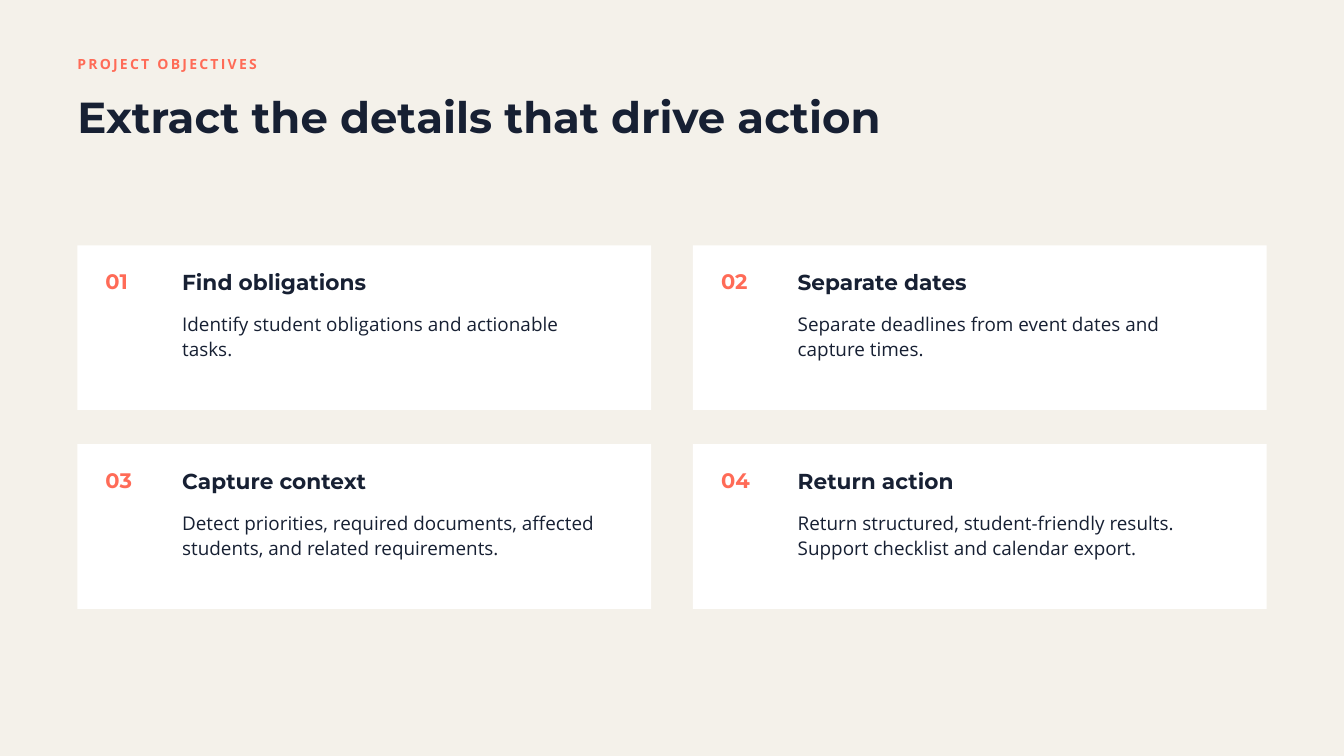
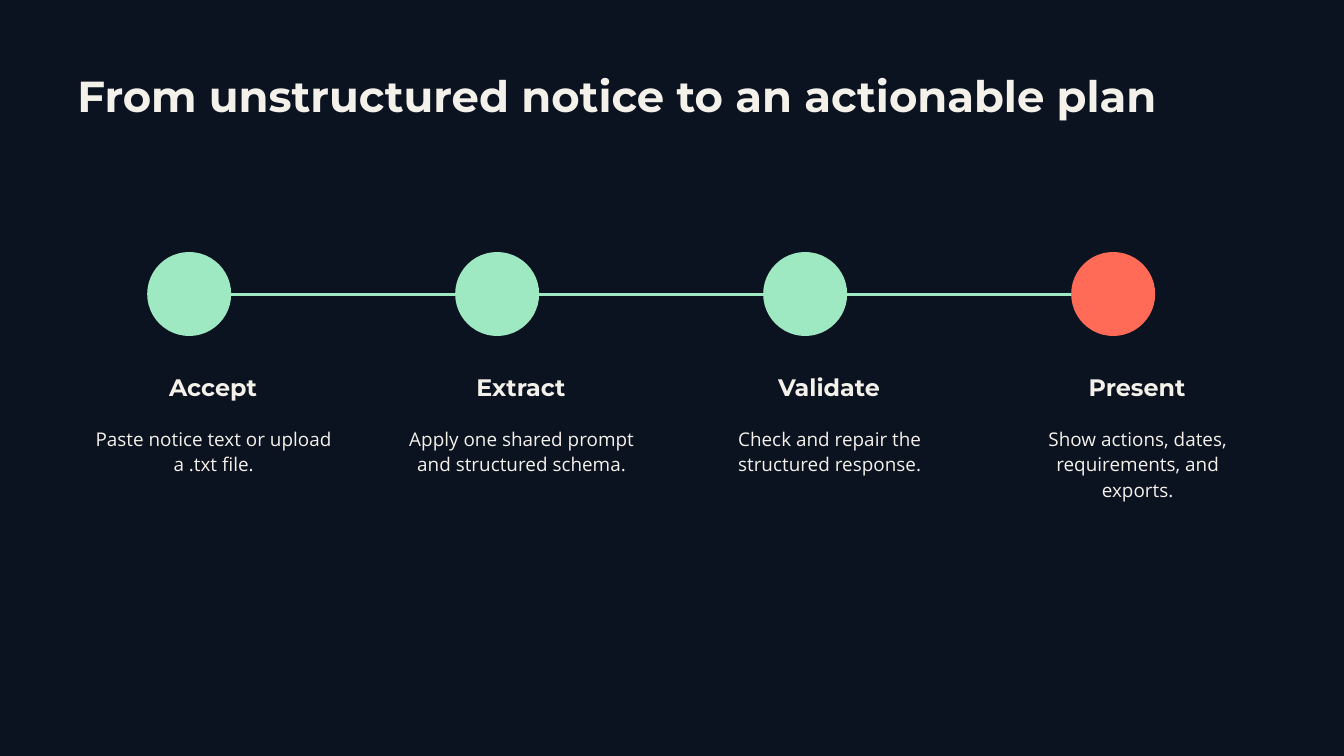
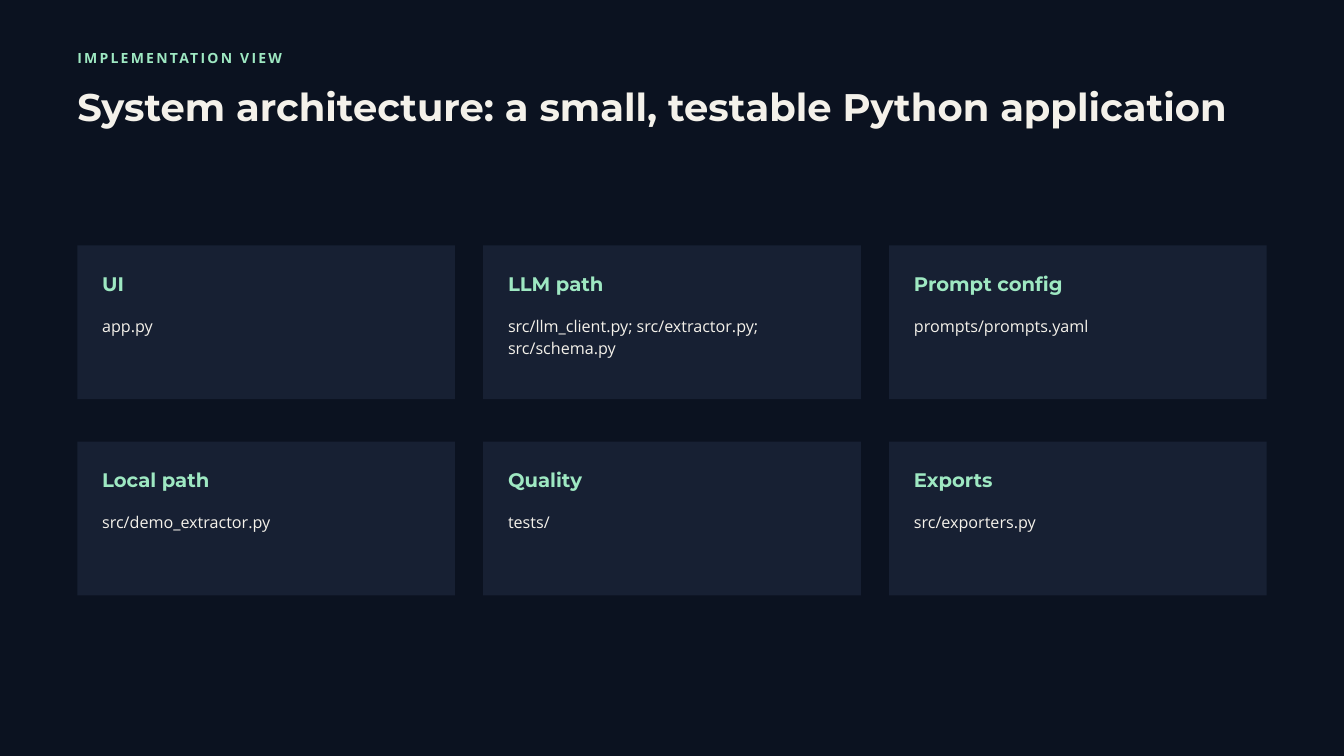
from dataclasses import dataclass

from lxml.etree import SubElement
from pptx import Presentation
from pptx.dml.color import RGBColor
from pptx.enum.shapes import MSO_CONNECTOR as Connector, MSO_SHAPE as Shape
from pptx.enum.text import MSO_ANCHOR as Anchor, MSO_AUTO_SIZE as AutoSize, PP_ALIGN as Align
from pptx.oxml.ns import qn
from pptx.util import Inches, Pt


@dataclass(frozen=True)
class Style:
    font: str
    size: float
    leading: float
    bold: bool = False
    tracking: float = 0


@dataclass(frozen=True)
class Theme:
    paper: str = "F4F1EA"
    night: str = "0B1220"
    navy: str = "172033"
    white: str = "FFFFFF"
    coral: str = "FF6B57"
    mint: str = "9EE8C2"
    eyebrow: Style = Style("Open Sans", 15, 1.4, True, 2.4)
    title: Style = Style("Montserrat", 46.5, 1.08, True)
    long_title: Style = Style("Montserrat", 41.25, 1.08, True)
    number: Style = Style("Montserrat", 22.5, 1.4, True)
    objective: Style = Style("Montserrat", 23.25, 1.4, True)
    step: Style = Style("Montserrat", 25.5, 1.4, True)
    module: Style = Style("Montserrat", 21, 1.4, True)
    body: Style = Style("Open Sans", 20.25, 1.35)
    small: Style = Style("Open Sans", 17.25, 1.35)


THEME = Theme()
MARGIN = 1.15
GRID_TOP = 3.65

OBJECTIVES = [
    ("Find obligations", "Identify student obligations and actionable tasks."),
    ("Separate dates", "Separate deadlines from event dates and capture times."),
    ("Capture context",
     "Detect priorities, required documents, affected students, and related requirements."),
    ("Return action",
     "Return structured, student-friendly results. Support checklist and calendar export."),
]
STEPS = [
    ("Accept", "Paste notice text or upload a .txt file."),
    ("Extract", "Apply one shared prompt and structured schema."),
    ("Validate", "Check and repair the structured response."),
    ("Present", "Show actions, dates, requirements, and exports."),
]
MODULES = [
    ("UI", "app.py"),
    ("LLM path", "src/llm_client.py; src/extractor.py; src/schema.py"),
    ("Prompt config", "prompts/prompts.yaml"),
    ("Local path", "src/demo_extractor.py"),
    ("Quality", "tests/"),
    ("Exports", "src/exporters.py"),
]


def rgb(color):
    return RGBColor.from_string(color)


def write(tf, text, *, style, color, align=Align.LEFT):
    tf.word_wrap = True
    tf.auto_size = AutoSize.NONE
    tf.vertical_anchor = Anchor.TOP
    tf.margin_left = tf.margin_right = tf.margin_top = tf.margin_bottom = 0
    p = tf.paragraphs[0]
    p.alignment = align
    p.line_spacing = Pt(round(style.size * style.leading, 2))
    r = p.add_run()
    r.text = text
    r.font.name = style.font
    r.font.size = Pt(style.size)
    r.font.bold = style.bold
    r.font.color.rgb = rgb(color)
    if style.tracking:
        r._r.get_or_add_rPr().set("spc", str(round(style.tracking * 100)))


def add_text(shapes, text, x, y, w, h, **fmt):
    sp = shapes.add_textbox(Inches(x), Inches(y), Inches(w), Inches(h))
    write(sp.text_frame, text, **fmt)


def add_block(shapes, kind, x, y, w, h, color):
    sp = shapes.add_shape(kind, Inches(x), Inches(y), Inches(w), Inches(h))
    sp.shadow.inherit = False
    sp.fill.solid()
    sp.fill.fore_color.rgb = rgb(color)
    sp.line.fill.background()


def add_line(shapes, x1, y1, x2, y2, color, width):
    line = shapes.add_connector(Connector.STRAIGHT, Inches(x1), Inches(y1), Inches(x2), Inches(y2))
    line.line.color.rgb = rgb(color)
    line.line.width = Pt(width)
    SubElement(line._element.spPr, qn("a:effectLst"))


def add_slide(prs, background, title, y, w, *, style, color):
    s = prs.slides.add_slide(prs.slide_layouts[5])
    s.background.fill.solid()
    s.background.fill.fore_color.rgb = rgb(background)
    sp = s.shapes.title
    sp.left, sp.top, sp.width, sp.height = Inches(MARGIN), Inches(y), Inches(w), Inches(0.7)
    write(sp.text_frame, title, style=style, color=color)
    return s


def grid(items, cols, pitch_x, pitch_y):
    for i, item in enumerate(items):
        row, col = divmod(i, cols)
        yield MARGIN + col * pitch_x, GRID_TOP + row * pitch_y, item


def add_objective(s, x, y, number, heading, detail):
    shapes = s.shapes.add_group_shape().shapes
    add_block(shapes, Shape.RECTANGLE, x, y, 8.54, 2.45, THEME.white)
    add_text(shapes, number, x + 0.42, y + 0.29, 1.04, 0.41,
             style=THEME.number, color=THEME.coral)
    add_text(shapes, heading, x + 1.56, y + 0.29, 6.15, 0.42,
             style=THEME.objective, color=THEME.navy)
    add_text(shapes, detail, x + 1.56, y + 0.96, 6.15, 0.74,
             style=THEME.body, color=THEME.navy)


def add_step(s, x, heading, detail, color):
    shapes = s.shapes.add_group_shape().shapes
    add_block(shapes, Shape.OVAL, x + 0.78, 3.75, 1.25, 1.25, color)
    add_text(shapes, heading, x + 0.2, 5.48, 3.12, 0.46,
             style=THEME.step, color=THEME.paper, align=Align.CENTER)
    add_text(shapes, detail, x, 6.32, 3.54, 1.11,
             style=THEME.body, color=THEME.paper, align=Align.CENTER)


def add_module(s, x, y, heading, files):
    shapes = s.shapes.add_group_shape().shapes
    add_block(shapes, Shape.RECTANGLE, x, y, 5.62, 2.29, THEME.navy)
    add_text(shapes, heading, x + 0.37, y + 0.34, 5.21, 0.38,
             style=THEME.module, color=THEME.mint)
    add_text(shapes, files, x + 0.37, y + 1.02, 5.21, 0.63,
             style=THEME.small, color=THEME.paper)


def objectives_slide(prs):
    s = add_slide(prs, THEME.paper, "Extract the details that drive action", 1.42, 15.62,
                  style=THEME.title, color=THEME.navy)
    add_text(s.shapes, "PROJECT OBJECTIVES", MARGIN, 0.78, 5.21, 0.28,
             style=THEME.eyebrow, color=THEME.coral)
    for i, (x, y, objective) in enumerate(grid(OBJECTIVES, 2, 9.16, 2.96), 1):
        add_objective(s, x, y, f"{i:02}", *objective)


def process_slide(prs):
    s = add_slide(prs, THEME.night, "From unstructured notice to an actionable plan", 1.1, 17.19,
                  style=THEME.title, color=THEME.paper)
    add_line(s.shapes, 2.81, 4.38, 17.19, 4.38, THEME.mint, 3.75)
    pitch = 13.75 / (len(STEPS) - 1)
    for i, step in enumerate(STEPS):
        color = THEME.coral if step is STEPS[-1] else THEME.mint
        add_step(s, 1.41 + i * pitch, *step, color)


def architecture_slide(prs):
    s = add_slide(prs, THEME.night, "System architecture: a small, testable Python application",
                  1.3, 17.19, style=THEME.long_title, color=THEME.paper)
    add_text(s.shapes, "IMPLEMENTATION VIEW", MARGIN, 0.7, 6.25, 0.28,
             style=THEME.eyebrow, color=THEME.mint)
    for x, y, module in grid(MODULES, 3, 6.04, 2.92):
        add_module(s, x, y, *module)


def main():
    prs = Presentation()
    prs.slide_width, prs.slide_height = Inches(20), Inches(11.25)
    objectives_slide(prs)
    process_slide(prs)
    architecture_slide(prs)
    prs.save("out.pptx")


if __name__ == "__main__":
    main()
